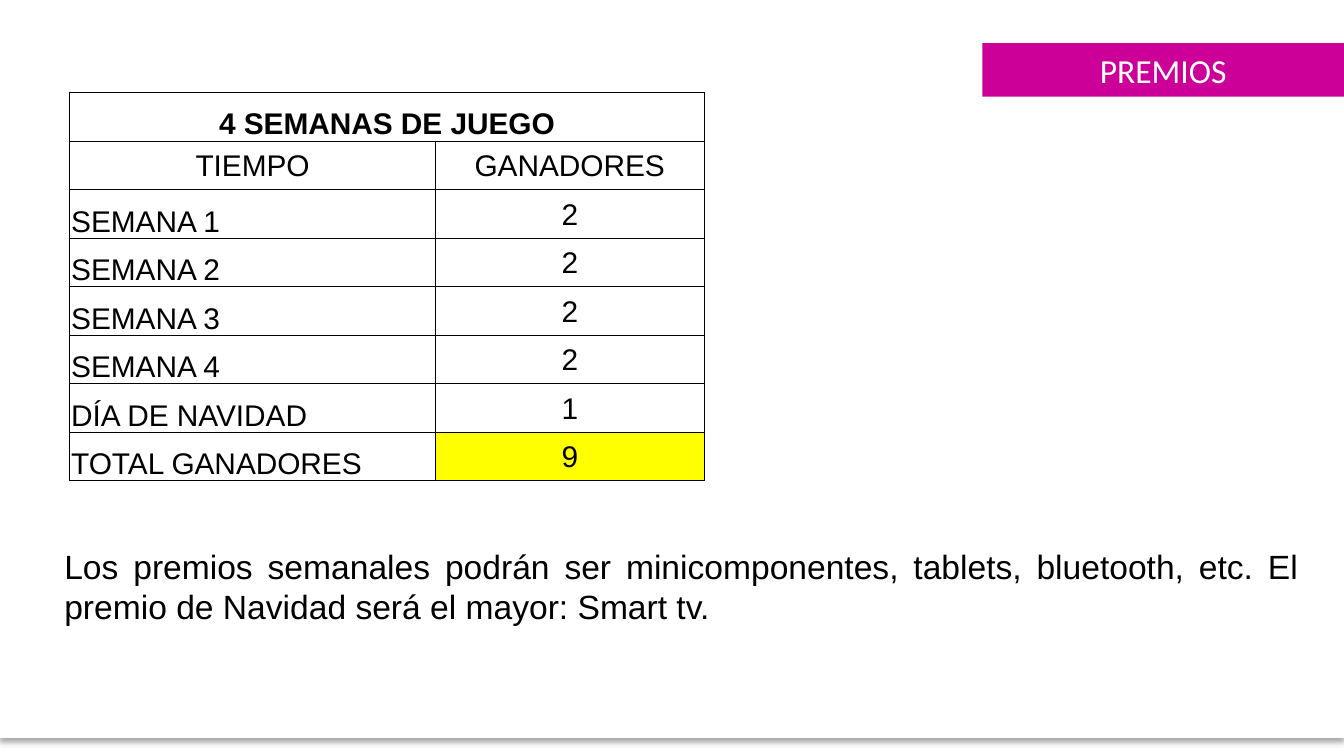
from dataclasses import dataclass

from lxml import etree
from pptx import Presentation
from pptx import util as u
from pptx.dml.color import RGBColor
from pptx.enum import shapes, text
from pptx.oxml import ns

WHITE = RGBColor(0xFF, 0xFF, 0xFF)
BLACK = RGBColor(0, 0, 0)
MAGENTA = RGBColor(0xCC, 0x00, 0x99)
YELLOW = RGBColor(0xFF, 0xFF, 0x00)

SLIDE_WIDTH = u.Inches(10)
SLIDE_HEIGHT = SLIDE_WIDTH * 9 // 16
COLUMN_WIDTHS = (2.72, 2)
TABLE_HEIGHT = u.Inches(2.89)
CENTER = text.PP_ALIGN.CENTER
MIDDLE = text.MSO_ANCHOR.MIDDLE
BOTTOM = text.MSO_ANCHOR.BOTTOM


@dataclass(frozen=True)
class Period:
    name: str
    winners: int


PERIODS = [Period(f"SEMANA {week}", 2) for week in range(1, 5)]
PERIODS.append(Period("DÍA DE NAVIDAD", 1))
PERIODS.append(Period("TOTAL GANADORES", sum(p.winners for p in PERIODS)))


def write(frame, words: str, size: float, align, font: str = "Arial",
          color: RGBColor = BLACK, bold: bool = False) -> None:
    paragraph = frame.paragraphs[0]
    paragraph.alignment = align
    run = paragraph.add_run()
    run.text = words
    run.font.name = font
    run.font.size = u.Pt(size)
    run.font.bold = bold
    run.font.color.rgb = color


def add_soft_shadow(shape) -> None:
    shape.shadow.inherit = False
    effects = shape._element.spPr.find(ns.qn("a:effectLst"))
    shadow = etree.SubElement(effects, ns.qn("a:outerShdw"), blurRad=str(u.Pt(3.1)),
                              dist=str(u.Pt(1.8)), dir="5400000", rotWithShape="0")
    tint = etree.SubElement(shadow, ns.qn("a:srgbClr"), val=str(BLACK))
    etree.SubElement(tint, ns.qn("a:alpha"), val="35000")


def add_borders(cell) -> None:
    properties = cell._tc.get_or_add_tcPr()
    for position, side in enumerate(("lnL", "lnR", "lnT", "lnB")):
        line = etree.Element(ns.qn(f"a:{side}"), w=str(u.Pt(0.5)))
        fill = etree.SubElement(line, ns.qn("a:solidFill"))
        etree.SubElement(fill, ns.qn("a:srgbClr"), val=str(BLACK))
        properties.insert(position, line)


def fill_cell(cell, words: str, align=CENTER, anchor=MIDDLE, bold: bool = False) -> None:
    write(cell.text_frame, words, 16, align, bold=bold)
    cell.vertical_anchor = anchor
    cell.margin_left = cell.margin_right = cell.margin_top = u.Inches(0.01)
    cell.margin_bottom = 0


def add_winners_table(slide) -> None:
    row_count = len(PERIODS) + 2
    winners = slide.shapes.add_table(
        row_count, 2, u.Inches(0.52), u.Inches(0.69),
        u.Inches(sum(COLUMN_WIDTHS)), TABLE_HEIGHT).table
    winners.first_row = winners.horz_banding = False
    for column, width in zip(winners.columns, COLUMN_WIDTHS):
        column.width = u.Inches(width)

    # Heading rows
    winners.cell(0, 0).merge(winners.cell(0, 1))
    fill_cell(winners.cell(0, 0), "4 SEMANAS DE JUEGO", anchor=BOTTOM, bold=True)
    for column, heading in enumerate(("TIEMPO", "GANADORES")):
        fill_cell(winners.cell(1, column), heading)

    # Periods and total
    for row, period in enumerate(PERIODS, start=2):
        fill_cell(winners.cell(row, 0), period.name, text.PP_ALIGN.LEFT, BOTTOM)
        fill_cell(winners.cell(row, 1), str(period.winners))

    for cell in winners.iter_cells():
        cell.fill.background()
        add_borders(cell)
    total = winners.cell(row_count - 1, 1)
    total.fill.solid()
    total.fill.fore_color.rgb = YELLOW


def main() -> None:
    deck = Presentation()
    deck.slide_width, deck.slide_height = SLIDE_WIDTH, SLIDE_HEIGHT
    slide = deck.slides.add_slide(deck.slide_layouts[5])

    # White page panel, behind everything else
    panel = slide.shapes.add_shape(shapes.MSO_SHAPE.RECTANGLE, 0, 0,
                                   SLIDE_WIDTH, u.Inches(5.49))
    panel.fill.solid()
    panel.fill.fore_color.rgb = WHITE
    panel.line.color.rgb = WHITE
    panel.line.width = u.Pt(0.75)
    add_soft_shadow(panel)
    title = slide.shapes.title
    title._element.addprevious(panel._element)

    # Title tag
    title.left, title.top = u.Inches(7.31), u.Inches(0.32)
    title.width, title.height = u.Inches(2.69), u.Inches(0.4)
    title.fill.solid()
    title.fill.fore_color.rgb = MAGENTA
    title.text_frame.auto_size = text.MSO_AUTO_SIZE.NONE
    title.text_frame.vertical_anchor = text.MSO_ANCHOR.TOP
    write(title.text_frame, "PREMIOS", 18, CENTER, "Calibri", WHITE)

    add_winners_table(slide)

    # Prize note
    note = slide.shapes.add_textbox(u.Inches(0.38), u.Inches(4),
                                    u.Inches(9.38), u.Inches(1.31)).text_frame
    note.word_wrap = True
    note.vertical_anchor = text.MSO_ANCHOR.TOP
    note.margin_top = u.Inches(0.06)
    write(note, "Los premios semanales podrán ser minicomponentes, tablets, bluetooth, etc. "
          "El premio de Navidad será el mayor: Smart tv.", 18, text.PP_ALIGN.JUSTIFY)

    deck.save("out.pptx")


if __name__ == "__main__":
    main()
